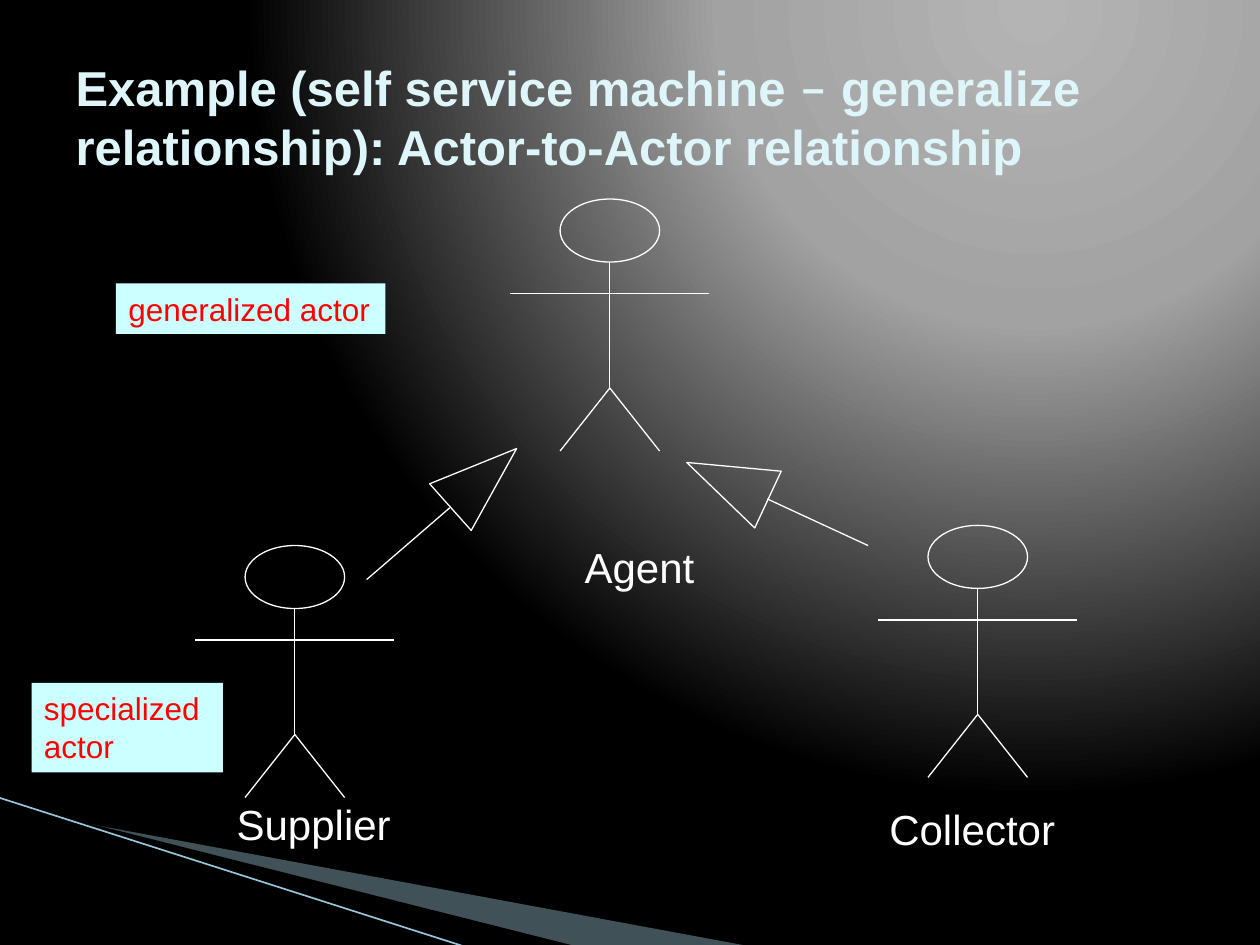
from dataclasses import dataclass

from pptx import Presentation
from pptx.dml.color import RGBColor
from pptx.enum.shapes import MSO_CONNECTOR, MSO_SHAPE
from pptx.enum.text import MSO_ANCHOR, MSO_AUTO_SIZE, PP_ALIGN
from pptx.oxml import parse_xml
from pptx.oxml.ns import nsdecls, qn
from pptx.util import Inches, Pt

STRAIGHT = MSO_CONNECTOR.STRAIGHT
OVAL = MSO_SHAPE.OVAL
RECT = MSO_SHAPE.RECTANGLE
MIDDLE = MSO_ANCHOR.MIDDLE
TOP = MSO_ANCHOR.TOP
GROW = MSO_AUTO_SIZE.SHAPE_TO_FIT_TEXT
FIXED = MSO_AUTO_SIZE.NONE
LEFT = PP_ALIGN.LEFT
CENTER = PP_ALIGN.CENTER


@dataclass(frozen=True)
class Theme:
    font: str = "Arial"
    dash_font: str = "Lato"
    title: str = "DEF5FA"
    ink: str = "FFFFFF"
    note: str = "FF0000"
    note_fill: str = "CCFFFF"
    wedge: str = "A0CBDC"
    shade: str = "000000"
    edge: str = "97C5D8"
    glow: tuple = ((0, "B4B4B4"), (40, "A2A2A2"), (100, "000000"))
    title_size: int = 28
    name_size: int = 24
    note_size: int = 18
    thin: float = 0.75


THEME = Theme()


def rgb(code):
    return RGBColor.from_string(code)


def paint_back(slide):
    slide.background.fill.gradient()
    old = slide.element.find(".//" + qn("a:gradFill"))
    stops = "".join(
        f'<a:gs pos="{spot * 1000}"><a:srgbClr val="{code}"/></a:gs>'
        for spot, code in THEME.glow
    )
    new = parse_xml(
        f'<a:gradFill {nsdecls("a")} rotWithShape="1"><a:gsLst>{stops}</a:gsLst>'
        '<a:path path="circle"><a:fillToRect l="65000" t="0" r="0" b="98000"/></a:path>'
        "</a:gradFill>"
    )
    old.getparent().replace(old, new)


def add_line(shapes, start, end, color=THEME.ink, width=THEME.thin):
    ends = [Inches(n) for n in (*start, *end)]
    line = shapes.add_connector(STRAIGHT, *ends)
    line.line.color.rgb = rgb(color)
    line.line.width = Pt(width)
    line._element.spPr.append(parse_xml(f'<a:effectLst {nsdecls("a")}/>'))


def style(shape, fill=None, line=None):
    shape.shadow.inherit = False
    if fill:
        shape.fill.solid()
        shape.fill.fore_color.rgb = rgb(fill)
    else:
        shape.fill.background()
    if line:
        shape.line.color.rgb = rgb(line)
        shape.line.width = Pt(THEME.thin)
    else:
        shape.line.fill.background()


def add_path(shapes, points, close=True, fill=None, line=None):
    first, *rest = [(Inches(x), Inches(y)) for x, y in points]
    pen = shapes.build_freeform(*first)
    pen.add_line_segments(rest, close=close)
    shape = pen.convert_to_shape()
    style(shape, fill, line)
    return shape


def add_swoosh(shapes):
    wedge = add_path(shapes, [(0.55, 6.51), (5.95, 7.51), (4.56, 7.51), (0.55, 6.5)],
                     fill=THEME.wedge)
    color = wedge._element.spPr.find(".//" + qn("a:srgbClr"))
    color.append(parse_xml(f'<a:alpha {nsdecls("a")} val="40000"/>'))
    add_path(shapes, [(0.53, 6.49), (4.57, 7.51), (3.72, 7.52), (0.54, 6.5)],
             fill=THEME.shade)
    add_line(shapes, (-0.01, 6.33), (3.71, 7.52), THEME.edge, 0.95)


def add_actor(shapes, mid, top):
    group = shapes.add_group_shape().shapes
    wide, high = 0.79, 0.5
    half = wide / 2
    neck, arms, hips = top + high, top + 1.5 * high, top + 3 * high
    feet = hips + high
    head = group.add_shape(OVAL, Inches(mid - half), Inches(top), Inches(wide), Inches(high))
    style(head, line=THEME.ink)
    add_line(group, (mid, neck), (mid, hips))
    add_path(group, [(mid - half, feet), (mid, hips), (mid + half, feet)],
             close=False, line=THEME.ink)
    add_line(group, (mid - wide, arms), (mid + wide, arms))


def add_arrow(shapes, tail, base, head):
    group = shapes.add_group_shape().shapes
    add_line(group, tail, base)
    add_path(group, head, line=THEME.ink)


def set_text(shape, lines, size, color, align=LEFT, wrap=True):
    frame = shape.text_frame
    frame.word_wrap = wrap
    frame.auto_size = GROW
    frame.vertical_anchor = TOP
    frame.text = "\n".join(lines)
    for para in frame.paragraphs:
        para.alignment = align
        para.font.name = THEME.font
        para.font.size = Pt(size)
        para.font.color.rgb = rgb(color)


def add_name(shapes, text, box, align=LEFT, wrap=True):
    shape = shapes.add_textbox(*map(Inches, box))
    set_text(shape, [text], THEME.name_size, THEME.ink, align, wrap)


def add_note(shapes, lines, box):
    shape = shapes.add_shape(RECT, *map(Inches, box))
    style(shape, fill=THEME.note_fill)
    set_text(shape, lines, THEME.note_size, THEME.note, wrap=False)


def set_title(title):
    title.left, title.top, title.width, title.height = map(Inches, (0.5, 0.3, 9, 1.25))
    frame = title.text_frame
    frame.word_wrap = True
    frame.auto_size = FIXED
    frame.vertical_anchor = MIDDLE
    para = frame.paragraphs[0]
    para.alignment = LEFT
    para.font.size = Pt(THEME.title_size)
    para.font.bold = True
    para.font.color.rgb = rgb(THEME.title)
    for text, font in (
        ("Example (self service machine ", THEME.font),
        ("–", THEME.dash_font),
        (" generalize relationship): Actor-to-Actor relationship", THEME.font),
    ):
        run = para.add_run()
        run.text = text
        run.font.name = font


def main():
    deck = Presentation()
    deck.slide_width, deck.slide_height = Inches(10), Inches(7.5)
    slide = deck.slides.add_slide(deck.slide_layouts[5])
    shapes = slide.shapes
    paint_back(slide)
    add_swoosh(shapes)
    set_title(shapes.title)
    for mid, top in ((4.84, 1.58), (2.34, 4.33), (7.76, 4.17)):
        add_actor(shapes, mid, top)
    add_name(shapes, "Agent", (3.88, 4.25, 2.39, 0.5), align=CENTER)
    add_name(shapes, "Supplier", (1.78, 6.29, 1.44, 0.5), wrap=False)
    add_name(shapes, "Collector", (6.96, 6.33, 1.7, 0.5))
    add_arrow(shapes, (2.91, 4.6), (3.57, 4.03), [(3.41, 3.84), (3.74, 4.21), (4.1, 3.56)])
    add_arrow(shapes, (6.89, 4.33), (6.09, 3.96), [(5.99, 4.19), (6.2, 3.74), (5.45, 3.67)])
    add_note(shapes, ["generalized actor"], (0.92, 2.25, 2.14, 0.4))
    add_note(shapes, ["specialized", "actor"], (0.25, 5.42, 1.52, 0.71))
    deck.save("out.pptx")


if __name__ == "__main__":
    main()
